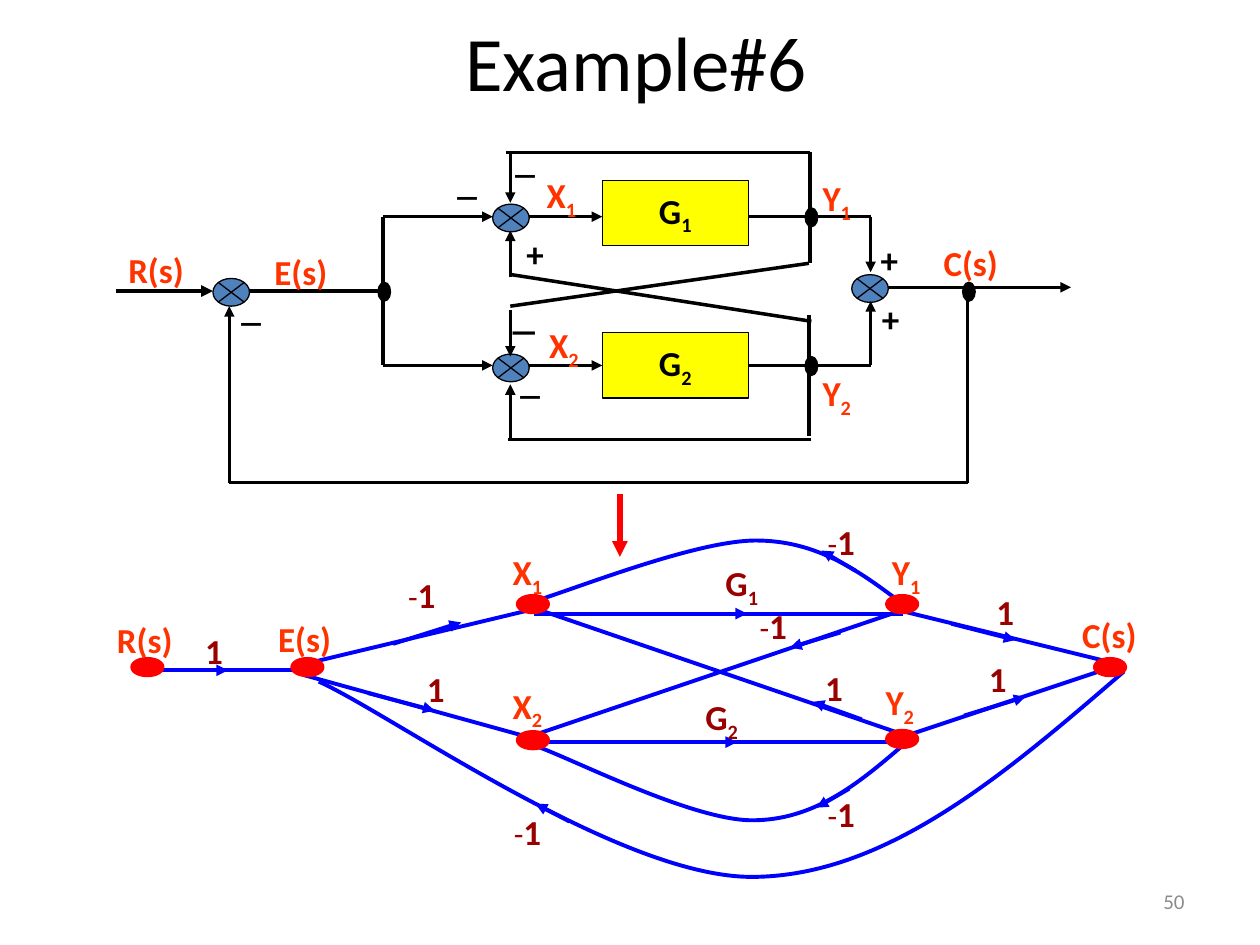
from dataclasses import dataclass

from lxml import etree
from pptx import Presentation
from pptx.dml.color import RGBColor
from pptx.enum.shapes import MSO_CONNECTOR, MSO_SHAPE
from pptx.enum.text import MSO_ANCHOR, PP_ALIGN
from pptx.oxml.ns import qn
from pptx.util import Pt

STRAIGHT = MSO_CONNECTOR.STRAIGHT
RECT, OVAL = MSO_SHAPE.RECTANGLE, MSO_SHAPE.OVAL
SUM = MSO_SHAPE.FLOWCHART_SUMMING_JUNCTION
TOP, MIDDLE = MSO_ANCHOR.TOP, MSO_ANCHOR.MIDDLE
LEFT, CENTER, RIGHT = PP_ALIGN.LEFT, PP_ALIGN.CENTER, PP_ALIGN.RIGHT
PX = 9144


@dataclass(frozen=True)
class Theme:
    """Colours, font and type sizes of the slide."""
    font: str = "Calibri"
    ink: str = "000000"
    signal: str = "FF3300"
    gain: str = "990000"
    flow: str = "0000FF"
    node: str = "FF0000"
    block: str = "FFFF00"
    junction: str = "4F81BD"
    muted: str = "8C8C8C"
    title: int = 44
    label: int = 20
    dash: int = 18
    minus: int = 16
    number: int = 12


T = Theme()

JUNCTIONS = [(169, 221), (391, 162), (391, 281), (676, 218)]
DOTS = [(639, 165), (764, 224), (300, 224), (639, 283)]
BLOCKS = [("G_1", 143), ("G_2", 264)]
WIRES = [
    (198, 231, 304, 231), (304, 172, 304, 290), (594, 172, 691, 172),
    (642, 250, 642, 346), (644, 349, 403, 349), (643, 209, 643, 121),
    (643, 121, 402, 121), (406, 218, 644, 255), (642, 209, 405, 243),
    (768, 228, 768, 383), (768, 383, 182, 383),
]
ARROWS = [
    (92, 231, 169, 231, 2.25), (304, 172, 391, 172, 1.75), (420, 172, 478, 172, 2),
    (304, 290, 391, 290, 2), (691, 172, 691, 216, 2), (691, 290, 691, 239, 2),
    (705, 228, 850, 228, 2), (405, 349, 405, 305, 2), (405, 121, 405, 161, 2),
    (405, 220, 405, 183, 2), (405, 246, 405, 283, 2), (182, 383, 182, 243, 2),
]
SIGNS = [
    ("+", 690, 231, T.label), ("+", 408, 180, T.label), ("+", 689, 184, T.label),
    ("－", 394, 244, T.dash), ("－", 400, 297, T.minus), ("－", 396, 122, T.minus),
    ("－", 179, 239, T.minus), ("－", 350, 139, T.minus),
]
SIGNALS = [
    ("C(s)", 739, 187), ("R(s)", 92, 192), ("E(s)", 208, 194), ("Y_2", 643, 290),
    ("Y_1", 643, 135), ("X_1", 424, 133), ("X_2", 426, 252),
]
BRANCHES = [
    ((118, 532, 245, 532), (156, 532, 181, 532), ("1", 153, 495)),
    ((250, 525, 417, 485), (312, 511, 366, 494), ("-1", 314, 450)),
    ((242, 536, 423, 586), (292, 550, 345, 564), ("1", 329, 525)),
    ((717, 484, 425, 583), (667, 502, 627, 514), ("-1", 593, 475)),
    ((716, 485, 883, 526), (755, 495, 806, 508), ("1", 781, 464)),
    ((716, 585, 875, 532), (765, 568, 814, 553), ("1", 775, 517)),
    ((424, 487, 717, 487), (540, 487, 593, 487), ("G_1", 566, 441)),
    ((425, 589, 718, 589), (523, 589, 585, 589), ("G_2", 550, 547)),
    ((717, 583, 425, 483), (684, 571, 645, 557), ("1", 645, 524)),
]
LOOPS = [
    ([(716, 479), (683, 454), (649, 429), (600, 429), (550, 429), (448, 471), (418, 479)],
     (679, 453, 652, 437), ("-1", 647, 408)),
    ([(892, 533), (798, 614), (704, 695), (598, 696), (492, 697), (311, 567), (253, 541)],
     (452, 652, 425, 638), ("-1", 398, 638)),
    ([(716, 592), (681, 622), (646, 651), (597, 651), (549, 651), (454, 602), (425, 592)],
     (674, 626, 648, 641), ("-1", 647, 624)),
]
NODES = [
    ("R(s)", 105, 523, 83, 486), ("E(s)", 232, 523, 211, 485), ("C(s)", 869, 523, 849, 482),
    ("X_1", 411, 473, 397, 432), ("X_2", 411, 581, 397, 538),
    ("Y_2", 704, 580, 693, 535), ("Y_1", 704, 473, 698, 432),
]


def style(obj, fmt):
    """Set each attribute of an object from a dict."""
    for name, value in fmt.items():
        setattr(obj, name, value)


def stroke(sp, color, weight):
    """Give a shape or connector a solid line."""
    sp.line.color.rgb = RGBColor.from_string(color)
    sp.line.width = Pt(weight)


def write(tf, text, size, color, bold=True, align=LEFT):
    """Write text with an optional subscript after an underscore or a light leading dash."""
    p = tf.paragraphs[0]
    p.alignment = align
    dash = text.startswith("-")
    main, _, sub = text.removeprefix("-").partition("_")
    parts = [("-", T.dash, False, None)] if dash else []
    parts.append((main, size, bold, None))
    if sub:
        parts.append((sub, size, bold, "-25000"))
    for content, pts, heavy, baseline in parts:
        r = p.add_run()
        r.text = content
        style(r.font, {"name": T.font, "size": Pt(pts), "bold": heavy})
        r.font.color.rgb = RGBColor.from_string(color)
        if baseline:
            r.font._element.set("baseline", baseline)


def add_text(s, text, x, y, w, h, size, color, bold=True, align=LEFT, anchor=TOP):
    """Add a wrapped text box."""
    tf = s.shapes.add_textbox(x * PX, y * PX, w * PX, h * PX).text_frame
    right = 10 * PX if align == RIGHT else 0
    style(tf, {"word_wrap": True, "vertical_anchor": anchor, "margin_right": right})
    write(tf, text, size, color, bold, align)


def add_label(s, text, x, y, color, size=T.label):
    """Add a bold diagram label."""
    add_text(s, text, x, y, 70, 43, size, color)


def add_line(s, points, color, weight, arrow=False):
    """Add a straight connector, with an arrowhead if asked."""
    c = s.shapes.add_connector(STRAIGHT, *(v * PX for v in points))
    stroke(c, color, weight)
    if arrow:
        etree.SubElement(c.line._get_or_add_ln(), qn("a:tailEnd"), type="triangle")
    etree.SubElement(c._element.spPr, qn("a:effectLst"))
    return c


def add_form(s, kind, x, y, w, h, fill, line, weight=0.75):
    """Add a filled preset shape."""
    sp = s.shapes.add_shape(kind, x * PX, y * PX, w * PX, h * PX)
    sp.shadow.inherit = False
    sp.fill.solid()
    sp.fill.fore_color.rgb = RGBColor.from_string(fill)
    stroke(sp, line, weight)
    return sp


def add_block(s, text, y):
    """Add a transfer-function block."""
    sp = add_form(s, RECT, 478, y, 116, 52, T.block, T.ink)
    style(sp.text_frame, {"word_wrap": False, "vertical_anchor": MIDDLE})
    write(sp.text_frame, text, T.label, T.ink, align=CENTER)
    return sp


def add_curve(s, points):
    """Add an open outline of cubic Bézier segments."""
    fb = s.shapes.build_freeform(*points[0], scale=PX)
    fb.add_line_segments(points[1:], close=False)
    sp = fb.convert_to_shape()
    sp.shadow.inherit = False
    sp.fill.background()
    stroke(sp, T.flow, 2.25)
    outline = next(sp._element.iter(qn("a:path")))
    steps = outline.findall(qn("a:lnTo"))
    for i in range(0, len(steps), 3):
        curve = etree.SubElement(outline, qn("a:cubicBezTo"))
        for step in steps[i:i + 3]:
            curve.append(step[0])
            outline.remove(step)


def draw_block_diagram(s):
    """Draw the block diagram."""
    for x, y in JUNCTIONS:
        add_form(s, SUM, x, y, 29, 22, T.junction, T.ink)
    blocks = [add_block(s, *block) for block in BLOCKS]
    for wire in WIRES:
        add_line(s, wire, T.ink, 2)
    for *points, weight in ARROWS:
        add_line(s, points, T.ink, weight, True)
    add_line(s, (420, 290, 478, 290), T.ink, 2, True).end_connect(blocks[1], 1)
    add_line(s, (594, 290, 691, 290), T.ink, 2).begin_connect(blocks[1], 3)
    for x, y in DOTS:
        add_form(s, OVAL, x, y, 10, 15, T.ink, T.ink)
    for text, x, y, size in SIGNS:
        add_label(s, text, x, y, T.ink, size)
    for text, x, y in SIGNALS:
        add_label(s, text, x, y, T.signal)


def draw_flow_graph(s):
    """Draw the signal flow graph."""
    for points, _, _ in BRANCHES:
        add_line(s, points, T.flow, 2.25)
    for points, _, _ in LOOPS:
        add_curve(s, points)
    for _, arrow, gain in BRANCHES + LOOPS:
        add_line(s, arrow, T.flow, 2.25, True)
        add_label(s, *gain, T.gain)
    for text, x, y, label_x, label_y in NODES:
        add_form(s, OVAL, x, y, 24, 13, T.node, T.node, 2.25)
        add_label(s, text, label_x, label_y, T.signal)


def main():
    """Build the slide and save it."""
    prs = Presentation()
    style(prs, {"slide_width": 1000 * PX, "slide_height": 750 * PX})
    s = prs.slides.add_slide(prs.slide_layouts[6])
    draw_block_diagram(s)
    draw_flow_graph(s)
    add_line(s, (492, 392, 492, 442), T.node, 3, True)
    add_text(s, "Example#6", 50, 5, 900, 87, T.title, T.ink, False, CENTER, MIDDLE)
    add_text(s, "50", 717, 695, 233, 40, T.number, T.muted, False, RIGHT, MIDDLE)
    prs.save("out.pptx")


if __name__ == "__main__":
    main()
